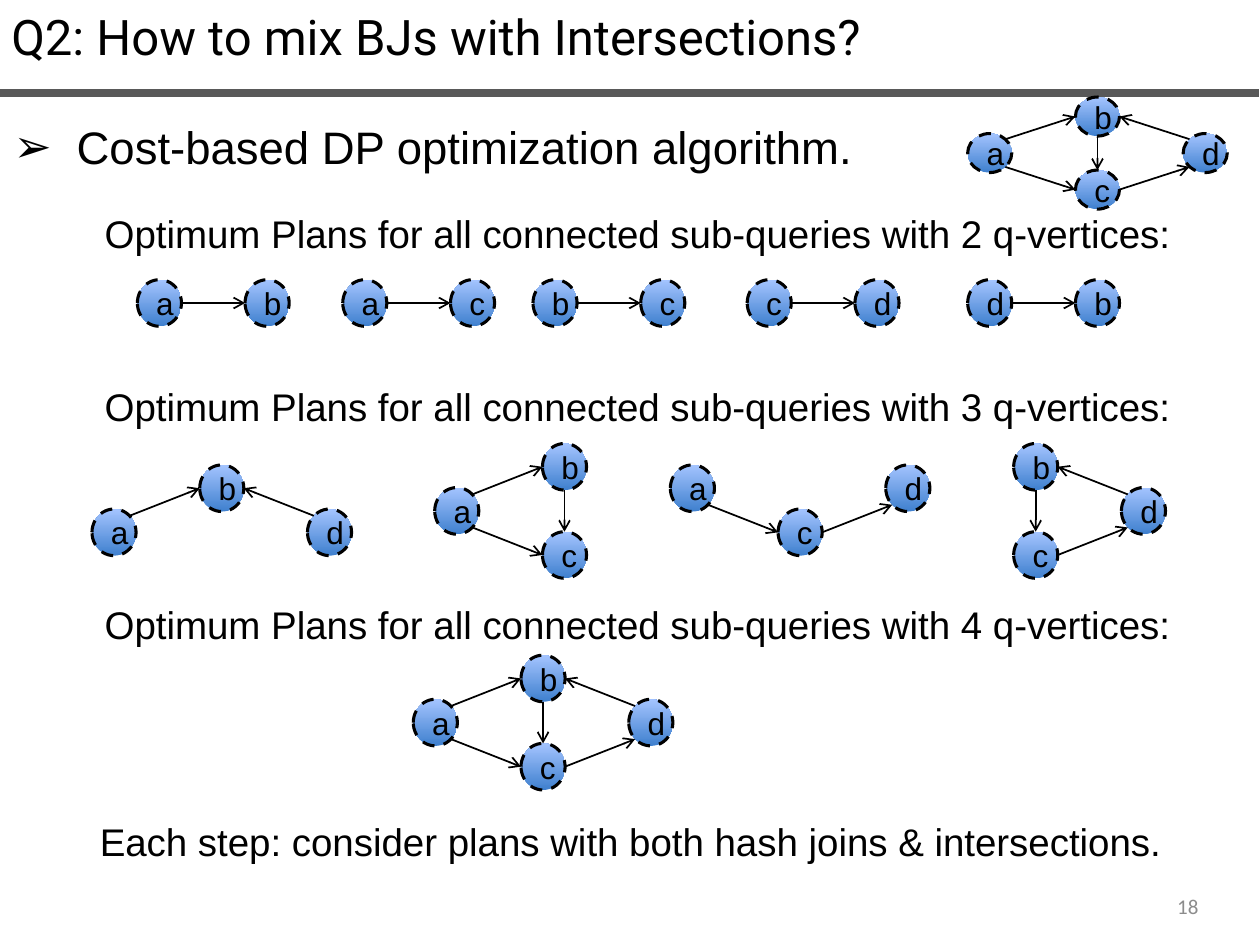
from lxml.etree import SubElement
from pptx import Presentation
from pptx.dml.color import RGBColor
from pptx.enum.dml import MSO_LINE
from pptx.enum.shapes import MSO_CONNECTOR, MSO_SHAPE
from pptx.enum.text import MSO_ANCHOR, MSO_AUTO_SIZE, PP_ALIGN
from pptx.oxml.ns import qn
from pptx.util import Inches, Pt

BLACK = RGBColor(0x00, 0x00, 0x00)
RULE_GRAY = RGBColor(0x59, 0x59, 0x59)
NUMBER_GRAY = RGBColor(0x8C, 0x8C, 0x8C)
NODE_DARK = RGBColor(0x3F, 0x80, 0xCE)
NODE_LIGHT = RGBColor(0xA4, 0xC4, 0xFF)

TITLE_FORMAT = {"name": "Roboto", "size": Pt(28), "bold": False}
BULLET_FORMAT = {"name": "Arial", "size": Pt(26)}
BODY_FORMAT = {"name": "Arial", "size": Pt(22)}
NODE_FORMAT = {"name": "Arial", "size": Pt(18)}
NUMBER_FORMAT = {"name": "Calibri", "size": Pt(12)}

NODE_WIDTH = 0.35
COLUMN_STEP = 0.855
CORNER = 0.71
DIAMOND_CELLS = {"a": (0, 1), "b": (1, 0), "c": (1, 2), "d": (2, 1)}
DIAMOND_EDGES = {
    "ab": ((CORNER, -CORNER), (-1, 0)),
    "ac": ((CORNER, CORNER), (-1, 0)),
    "bc": ((0, 1), (0, -1)),
    "db": ((-CORNER, -CORNER), (1, 0)),
    "cd": ((1, 0), (-CORNER, CORNER)),
}
PAIRS = {"ab": 1.09, "ac": 2.72, "bc": 4.23, "cd": 5.93, "db": 7.68}
TRIPLES = {"abd": (0.73, 3.69), "abc": (3.45, 3.52), "acd": (5.32, 3.34), "bcd": (7.19, 3.52)}
HEADINGS = {2: 1.62, 3: 2.99, 4: 4.72}


def write_text(shape, text, format_values, color=BLACK, align=PP_ALIGN.CENTER):
    """Put one formatted paragraph into a shape and return the paragraph."""
    para = shape.text_frame.paragraphs[0]
    para.alignment = align
    span = para.add_run()
    span.text = text
    for name, value in format_values.items():
        setattr(span.font, name, value)
    span.font.color.rgb = color
    return para


def add_text(page, box, text, format_values, wrap=True, **style):
    """Add a text box at box, given as left, top, width and height in inches."""
    shape = page.shapes.add_textbox(*map(Inches, box))
    shape.text_frame.word_wrap = wrap
    return shape, write_text(shape, text, format_values, **style)


def add_line(page, start, end, color, width, arrow=False):
    """Draw a straight line between two points in inches."""
    line = page.shapes.add_connector(MSO_CONNECTOR.STRAIGHT, *map(Inches, (*start, *end)))
    line.line.color.rgb = color
    line.line.width = Pt(width)
    if arrow:
        SubElement(line.line._get_or_add_ln(), qn("a:tailEnd"), type="arrow")
    SubElement(line._element.spPr, qn("a:effectLst"))


def add_node(page, box, letter):
    """Add a dashed, shaded circle holding a vertex letter."""
    node = page.shapes.add_shape(MSO_SHAPE.OVAL, *map(Inches, box))
    node.shadow.inherit = False
    node.fill.gradient()
    node.fill.gradient_angle = 90
    for stop, color, position in zip(node.fill.gradient_stops, (NODE_DARK, NODE_LIGHT), (0, 1)):
        stop.color.rgb = color
        stop.position = position
    node.line.color.rgb = BLACK
    node.line.width = Pt(1.75)
    node.line.dash_style = MSO_LINE.DASH
    node.text_frame.vertical_anchor = MSO_ANCHOR.MIDDLE
    write_text(node, letter, NODE_FORMAT)


def add_graph(page, left, top, cells, edges, node_height=0.37, row_step=0.35):
    """Place vertices on a grid from left and top, and join them with arrows."""
    corners = {
        letter: (left + column * COLUMN_STEP, top + row * row_step)
        for letter, (column, row) in cells.items()
    }

    def site(letter, direction):
        """Return the point on a vertex outline in the given direction."""
        x, y = corners[letter]
        return x + NODE_WIDTH * (1 + direction[0]) / 2, y + node_height * (1 + direction[1]) / 2

    for letter, corner in corners.items():
        add_node(page, (*corner, NODE_WIDTH, node_height), letter)
    for (source, target), (leaving, entering) in edges.items():
        add_line(page, site(source, leaving), site(target, entering), BLACK, 1, arrow=True)


def add_diamond(page, left, top, letters="abcd", **sizes):
    """Draw the part of the diamond query that the letters span."""
    cells = {letter: DIAMOND_CELLS[letter] for letter in letters}
    edges = {pair: sites for pair, sites in DIAMOND_EDGES.items() if set(pair) <= set(letters)}
    add_graph(page, left, top, cells, edges, **sizes)


def add_pair(page, left, top, pair):
    """Draw two vertices side by side with one arrow."""
    cells = {letter: (column, 0) for column, letter in enumerate(pair)}
    add_graph(page, left, top, cells, {pair: ((1, 0), (-1, 0))})


def add_title(page, box, text):
    """Move and format the title placeholder, with the rule below it."""
    add_line(page, (-0.01, 0.74), (9.99, 0.74), RULE_GRAY, 4.5)
    title = page.shapes.title
    title.left, title.top, title.width, title.height = map(Inches, box)
    title.text_frame.vertical_anchor = MSO_ANCHOR.TOP
    title.text_frame.auto_size = MSO_AUTO_SIZE.SHAPE_TO_FIT_TEXT
    write_text(title, text, TITLE_FORMAT, align=PP_ALIGN.LEFT)


def add_bullet(page, box, text):
    """Add the arrow-bulleted main statement."""
    _, para = add_text(page, box, text, BULLET_FORMAT, align=PP_ALIGN.LEFT)
    para.line_spacing = 1.5
    properties = para._p.get_or_add_pPr()
    properties.set("marL", str(Inches(0.5)))
    properties.set("indent", str(Inches(-0.5)))
    SubElement(properties, qn("a:buFont"), typeface="Arial")
    SubElement(properties, qn("a:buChar"), char="➢")


def add_plans(page):
    """Add the plan headings with the sub-queries of each size."""
    for count, top in HEADINGS.items():
        text = f"Optimum Plans for all connected sub-queries with {count} q-vertices:"
        add_text(page, (0.67, top, 8.78, 0.47), text, BODY_FORMAT)
    for pair, left in PAIRS.items():
        add_pair(page, left, 2.22, pair)
    for letters, (left, top) in TRIPLES.items():
        add_diamond(page, left, top, letters)
    add_diamond(page, 3.28, 5.2)


def main():
    """Build the slide and save the deck."""
    deck = Presentation()
    deck.slide_width, deck.slide_height = Inches(10), Inches(7.5)
    page = deck.slides.add_slide(deck.slide_layouts[5])
    add_title(page, (-0.01, 0, 10.13, 0.57), "Q2: How to mix BJs with Intersections?")
    add_bullet(page, (0.01, 0.68, 9.99, 0.72), "Cost-based DP optimization algorithm.")
    add_diamond(page, 7.68, 0.77, node_height=0.31, row_step=0.29)
    add_plans(page)
    closing = "Each step: consider plans with both hash joins & intersections."
    add_text(page, (0.64, 6.44, 8.73, 0.47), closing, BODY_FORMAT, wrap=False)
    number, _ = add_text(page, (7.28, 6.99, 2.33, 0.4), "18", NUMBER_FORMAT,
                         color=NUMBER_GRAY, align=PP_ALIGN.RIGHT)
    number.text_frame.vertical_anchor = MSO_ANCHOR.MIDDLE
    deck.save("out.pptx")


if __name__ == "__main__":
    main()
